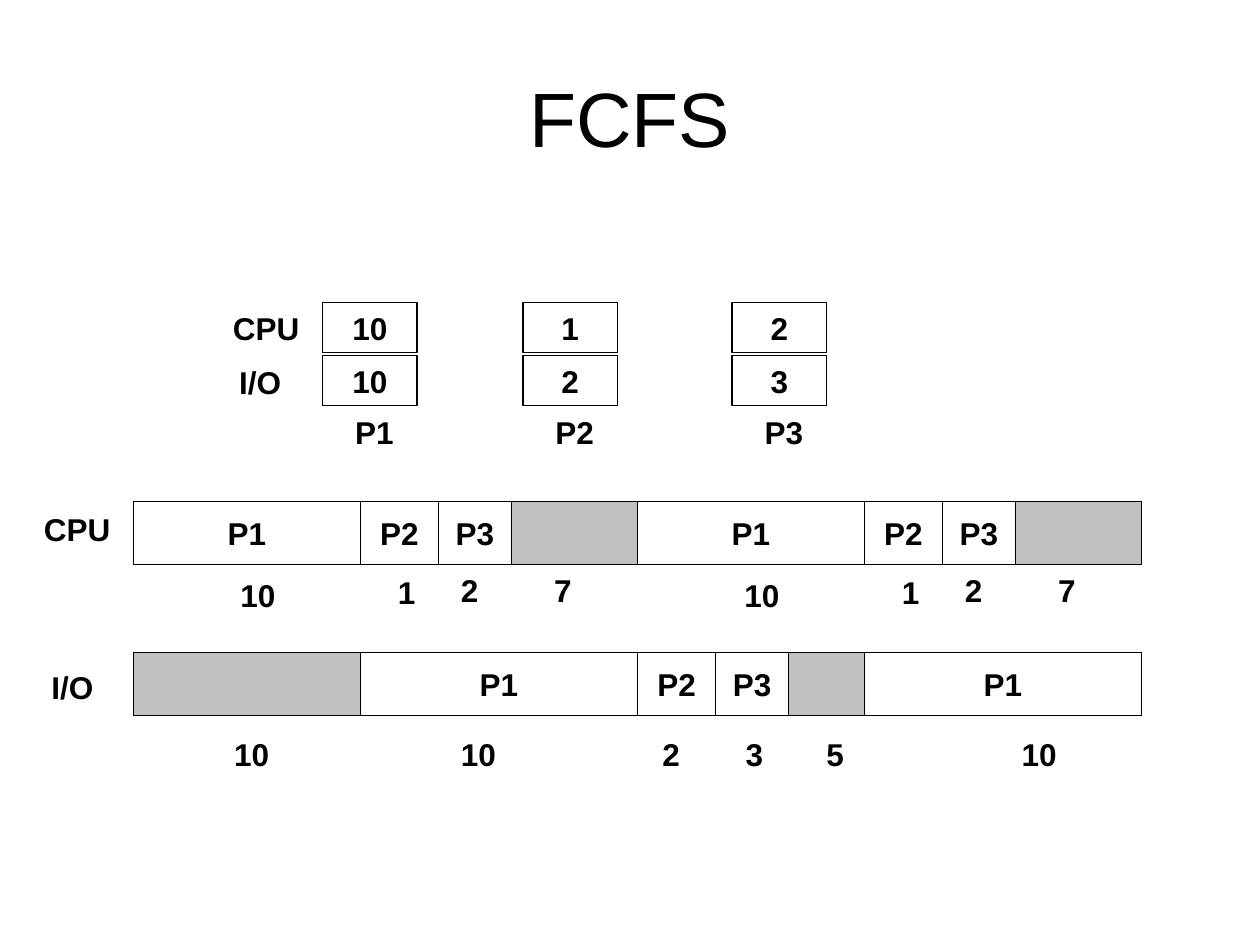
from collections import namedtuple

from pptx import Presentation
from pptx.dml.color import RGBColor
from pptx.enum import shapes, text
from pptx.util import Pt

COLORS = {"ink": "000000", "idle": "C0C0C0"}
FONT = "Arial"
LABEL_WIDTHS = {"CPU": 52.56, "I/O": 38.16, "P1": 37, "P2": 37, "P3": 37, "10": 34.56}
DIGIT_WIDTH = 24.48
LABEL_HEIGHT = 28.8

# dx and dy place the duration relative to the top left of its segment;
# a segment without a process is idle time.
Segment = namedtuple("Segment", "process width duration dx dy")

CPU_CYCLE = [
    Segment("P1", 129.6, "10", 54, 38.9),
    Segment("P2", 44.64, "1", 14.4, 37.4),
    Segment("P3", 41.76, "2", 5.76, 36),
    Segment(None, 72, "7", 17.3, 36),
]
IO_SEGMENTS = [
    Segment(None, 129.6, "10", 50.4, 43.2),
    Segment("P1", 158.4, "10", 50.4, 43.2),
    Segment("P2", 44.64, "2", 7.2, 43.2),
    Segment("P3", 41.76, "3", 10.08, 43.2),
    Segment(None, 43.2, "5", 14.4, 43.2),
    Segment("P1", 158.4, "10", 82.8, 43.2),
]


def write(sp, content, size=18, bold=True, align=text.PP_ALIGN.CENTER, wrap=False):
    tf = sp.text_frame
    tf.word_wrap = wrap
    tf.vertical_anchor = text.MSO_ANCHOR.MIDDLE
    p = tf.paragraphs[0]
    p.alignment = align
    r = p.add_run()
    r.text = content
    r.font.name = FONT
    r.font.size = Pt(size)
    r.font.bold = bold
    r.font.color.rgb = RGBColor.from_string(COLORS["ink"])


def add_label(s, content, left, top):
    width = LABEL_WIDTHS.get(content, DIGIT_WIDTH)
    sp = s.shapes.add_textbox(Pt(left), Pt(top), Pt(width), Pt(LABEL_HEIGHT))
    write(sp, content, align=text.PP_ALIGN.LEFT)
    sp.text_frame.auto_size = text.MSO_AUTO_SIZE.SHAPE_TO_FIT_TEXT


def add_box(s, left, top, width, height, content=None):
    """Draw an outlined box, shaded as idle when it has no content."""
    sp = s.shapes.add_shape(shapes.MSO_SHAPE.RECTANGLE,
                            Pt(left), Pt(top), Pt(width), Pt(height))
    sp.shadow.inherit = False
    sp.line.color.rgb = RGBColor.from_string(COLORS["ink"])
    sp.line.width = Pt(0.75)
    if content:
        sp.fill.background()
        write(sp, content)
    else:
        sp.fill.solid()
        sp.fill.fore_color.rgb = RGBColor.from_string(COLORS["idle"])


def add_title(s, content, left, top, width, height):
    sp = s.shapes.add_textbox(Pt(left), Pt(top), Pt(width), Pt(height))
    write(sp, content, size=44, bold=False, wrap=True)


def add_process(s, name, bursts, left, top):
    """Stack the CPU and I/O bursts of one process above its name."""
    for row, burst in enumerate(bursts):
        add_box(s, left, top + row * 30.24, 54, 28.8, burst)
    add_label(s, name, left + 11.5, top + 59.8)


def add_timeline(s, segments, left, top):
    for seg in segments:
        add_box(s, left, top, seg.width, 36, seg.process)
        add_label(s, seg.duration, left + seg.dx, top + seg.dy)
        left += seg.width


def main():
    prs = Presentation()
    prs.slide_width, prs.slide_height = Pt(720), Pt(540)
    s = prs.slides.add_slide(prs.slide_layouts[6])

    add_title(s, "FCFS", 36, 21.6, 648, 90)

    add_label(s, "CPU", 126, 172.8)
    add_label(s, "I/O", 129.6, 203.76)
    add_process(s, "P1", ("10", "10"), 184.32, 172.8)
    add_process(s, "P2", ("1", "2"), 298.8, 172.8)
    add_process(s, "P3", ("2", "3"), 418.32, 172.8)

    add_label(s, "CPU", 18, 288)
    add_timeline(s, CPU_CYCLE * 2, 76.32, 286.56)
    add_label(s, "I/O", 22.32, 378)
    add_timeline(s, IO_SEGMENTS, 76.32, 372.96)

    prs.save("out.pptx")


if __name__ == "__main__":
    main()
